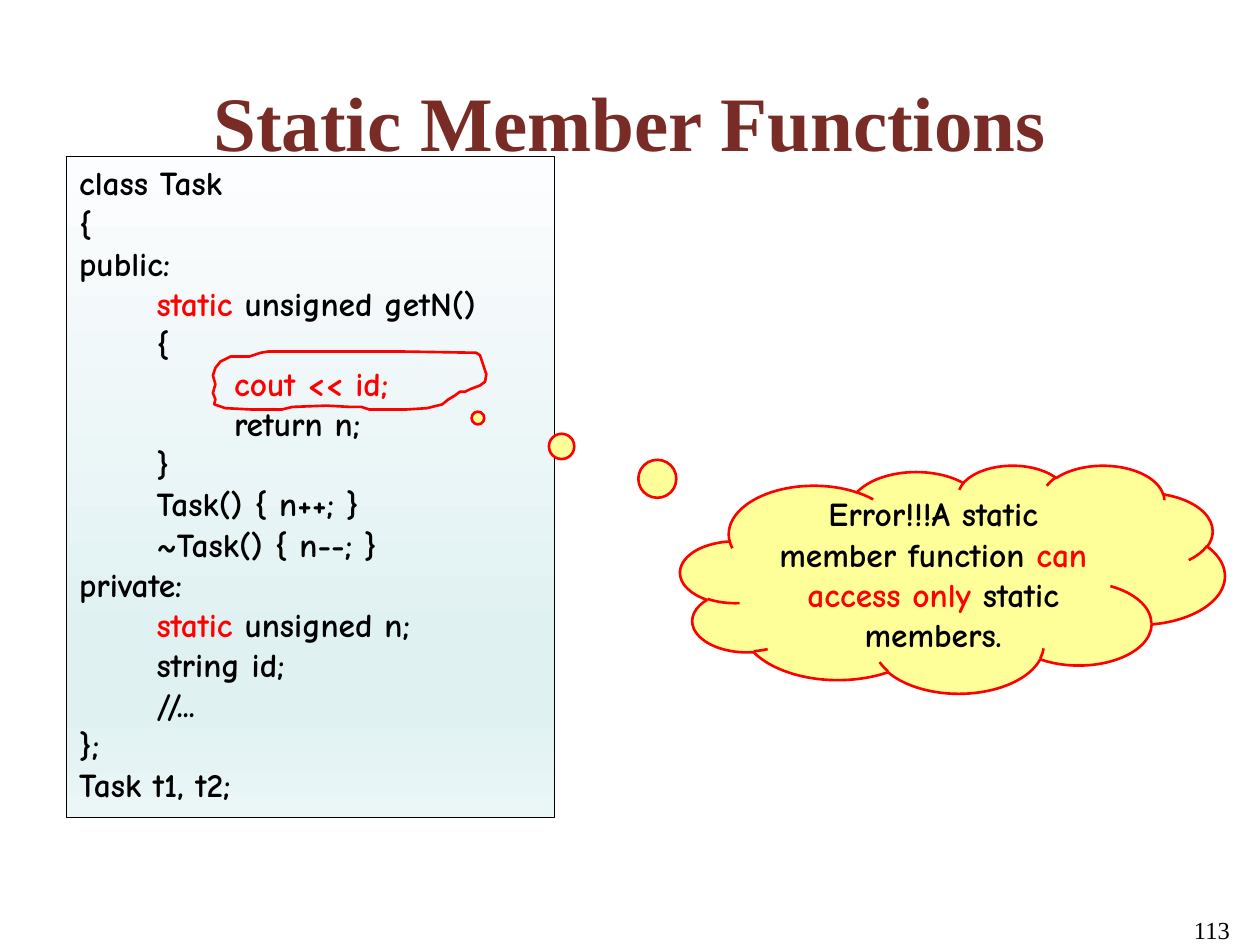
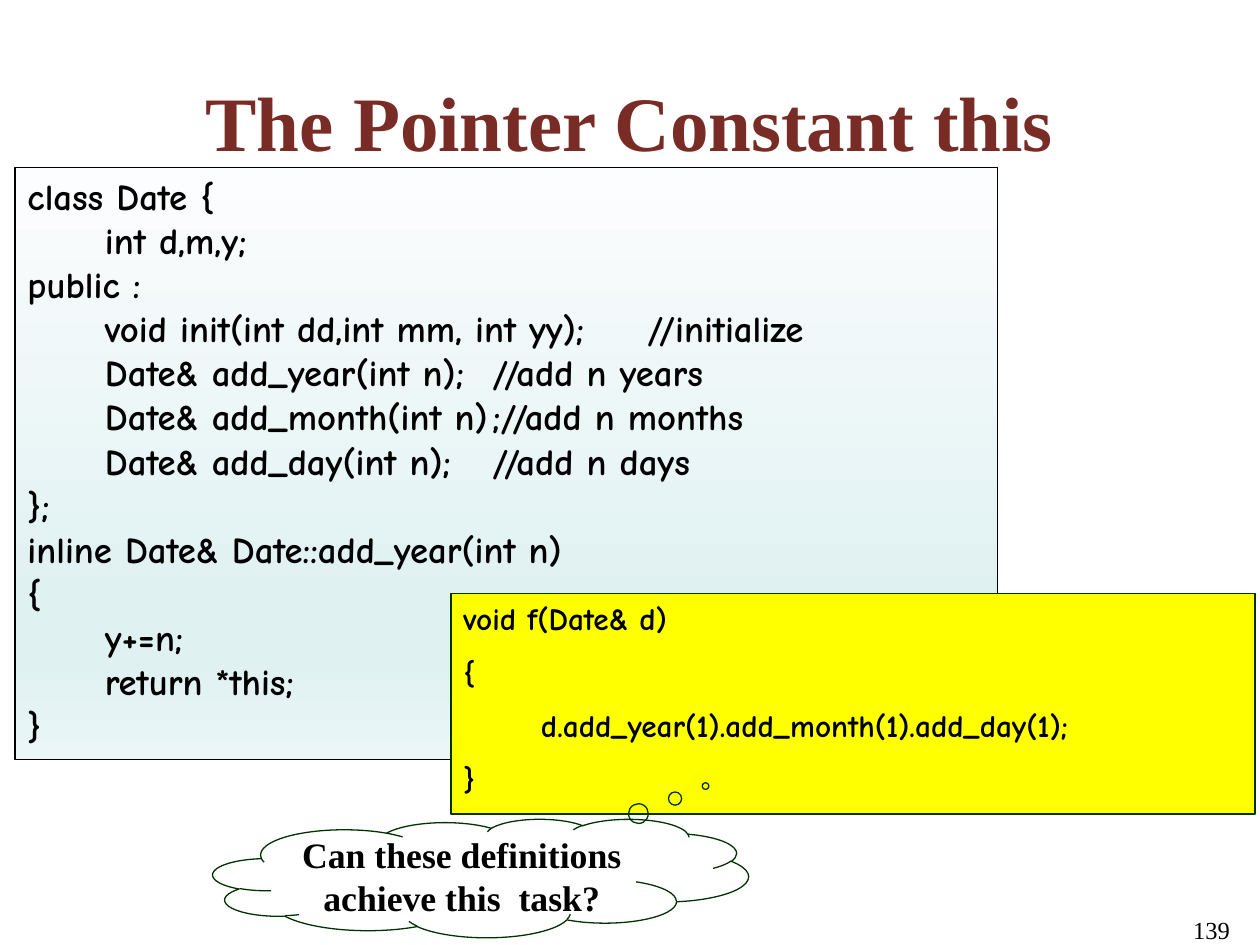
from lxml import etree
from pptx import Presentation
from pptx.dml.color import RGBColor
from pptx.enum.shapes import MSO_SHAPE as Preset
from pptx.enum.text import MSO_ANCHOR as Anchor, PP_ALIGN as Align
from pptx.oxml.ns import qn
from pptx.util import Inches, Pt

CODE_FONT, TEXT_FONT = "Comic Neue", "Times New Roman"
BLACK, RED, MAROON, GREEN = "000000", "FF0000", "792B25", "003300"
YELLOW, PALE_YELLOW = "FFFF00", "FFFF99"
PANEL_STOPS = [(0, "FCFDFE"), (74, "E0F1F2"), (83, "E0F1F2"), (100, "EBF6F7")]
TITLE_BOX = (0.5, 0.42, 9, 1.08)
NUMBER_BOX = (7.36, 7.21, 2.5, 0.52)
TAB_STEP, TAB_COUNT = 0.615, 8
LINE_RATIO = 1.2

TASK_CODE = """class Task
{
public:
\t|static| unsigned getN()
\t{
\t\t|cout << id;|
\t\treturn n;
\t}
\tTask() { n++; }
\t~Task() { n--; }
private:
\t|static| unsigned n;
\tstring id;
\t//...
};
Task t1, t2;"""

DATE_CODE = """class Date {
\tint d,m,y;
public :
\tvoid init(int dd,int mm, int yy);\t//initialize
\tDate& add_year(int n);\t//add n years
\tDate& add_month(int n)\t;//add n months
\tDate& add_day(int n);\t//add n days
};
inline Date& Date::add_year(int n)
{
\ty+=n;
\treturn *this;
}"""

CALL_CODE = """void f(Date& d)
{
\td.add_year(1).add_month(1).add_day(1);
}"""

# Points of the hand-drawn ring, in hundredths of an inch from its top left
RING_CORNER = (1.69, 2.79)
RING = [(55, 46), (30, 46), (10, 45), (1, 42), (2, 38), (0, 33), (2, 26), (0, 19),
        (2, 13), (6, 8), (14, 4), (29, 4), (38, 1), (44, 0), (87, 0), (150, 0),
        (209, 1), (212, 3), (214, 9), (217, 18), (216, 24), (212, 27), (204, 30),
        (200, 32), (196, 32), (192, 35), (187, 38), (182, 42), (170, 45), (154, 46),
        (124, 46), (118, 44), (109, 44), (90, 43), (63, 44)]


def color(value):
    return RGBColor.from_string(value)


def inches(box):
    return [Inches(length) for length in box]


def set_outline(shape, line_color, width):
    shape.shadow.inherit = False
    shape.line.color.rgb = color(line_color)
    shape.line.width = Pt(width)


def set_fill(shape, value):
    if value is None:
        shape.fill.background()
    else:
        shape.fill.solid()
        shape.fill.fore_color.rgb = color(value)


def set_panel_gradient(shape):
    shape.fill.gradient()
    shape.fill.gradient_angle = 270
    stops = shape.fill._fill._gradFill.find(qn("a:gsLst"))
    for stop in list(stops):
        stops.remove(stop)
    for position, value in PANEL_STOPS:
        stop = etree.SubElement(stops, qn("a:gs"), pos=str(position * 1000))
        etree.SubElement(stop, qn("a:srgbClr"), val=value)


def add_tabs(para):
    tabs = etree.SubElement(para._p.get_or_add_pPr(), qn("a:tabLst"))
    for number in range(1, TAB_COUNT + 1):
        position = Inches(number * TAB_STEP)
        etree.SubElement(tabs, qn("a:tab"), pos=str(position), algn="l")


def write(shape, text, size, font, align=Align.LEFT, anchor=Anchor.TOP, bold=True,
          text_color=BLACK, gap=0, tabs=False, line_ratio=None):
    """Write one paragraph a line; parts between bars are red."""
    frame = shape.text_frame
    frame.word_wrap = True
    frame.vertical_anchor = anchor
    for index, line in enumerate(text.split("\n")):
        para = frame.add_paragraph() if index else frame.paragraphs[0]
        para.alignment = align
        if line_ratio:
            para.line_spacing = Pt(size * line_ratio)
        if index and gap:
            para.space_before = Pt(gap)
        if tabs:
            add_tabs(para)
        para.font.name, para.font.size, para.font.bold = font, Pt(size), bold
        para.font.color.rgb = color(text_color)
        for part, words in enumerate(line.split("|")):
            if words:
                span = para.add_run()
                span.text = words
                span.font.color.rgb = color(RED if part % 2 else text_color)


def add_page(deck, title, number):
    page = deck.slides.add_slide(deck.slide_layouts[6])
    write(page.shapes.add_textbox(*inches(NUMBER_BOX)), number, 14, TEXT_FONT,
          align=Align.RIGHT, bold=False)
    write(page.shapes.add_textbox(*inches(TITLE_BOX)), title, 44, TEXT_FONT,
          align=Align.CENTER, anchor=Anchor.MIDDLE, text_color=MAROON)
    return page


def add_code(page, box, code, size, fill=None, line_color=BLACK, gap=0):
    """Add a code panel, with the shared gradient unless a fill is given."""
    panel = page.shapes.add_shape(Preset.RECTANGLE, *inches(box))
    set_outline(panel, line_color, 0.75)
    if fill:
        set_fill(panel, fill)
    else:
        set_panel_gradient(panel)
    write(panel, code, size, CODE_FONT, gap=gap, tabs=True, line_ratio=LINE_RATIO)


def add_thought(page, box, tail, text, size, font, fill, line_color, width):
    cloud = page.shapes.add_shape(Preset.CLOUD_CALLOUT, *inches(box))
    cloud.adjustments[0], cloud.adjustments[1] = tail
    set_outline(cloud, line_color, width)
    set_fill(cloud, fill)
    write(cloud, text, size, font, align=Align.CENTER, anchor=Anchor.MIDDLE,
          line_ratio=LINE_RATIO)


def add_ring(page, corner):
    builder = page.shapes.build_freeform(*RING[0], scale=Inches(0.01))
    builder.add_line_segments(RING[1:], close=True)
    ring = builder.convert_to_shape(*inches(corner))
    set_outline(ring, RED, 1.5)
    set_fill(ring, None)


def add_static_functions(deck):
    page = add_page(deck, "Static Member Functions", "113")
    add_code(page, (0.53, 1.24, 3.87, 5.25), TASK_CODE, 19.1)
    add_ring(page, RING_CORNER)
    add_thought(page, (5.4, 3.69, 4.32, 1.81), (-0.872, -0.706),
                "Error!!!A static member function |can access only| static members.",
                19.1, CODE_FONT, PALE_YELLOW, RED, 1.5)


def add_this_pointer(deck):
    page = add_page(deck, "The Pointer Constant this", "139")
    add_code(page, (0.12, 1.33, 7.8, 4.7), DATE_CODE, 21)
    add_code(page, (3.58, 4.71, 6.38, 1.75), CALL_CODE, 17.9, YELLOW, GREEN, gap=9)
    add_thought(page, (1.69, 6.5, 4.25, 0.94), (0.42, -0.778),
                "Can these definitions achieve this  task?",
                20.4, TEXT_FONT, None, GREEN, 0.75)


def main():
    deck = Presentation()
    deck.slide_width, deck.slide_height = Inches(10), Inches(7.5)
    add_static_functions(deck)
    add_this_pointer(deck)
    deck.save("out.pptx")


if __name__ == "__main__":
    main()
